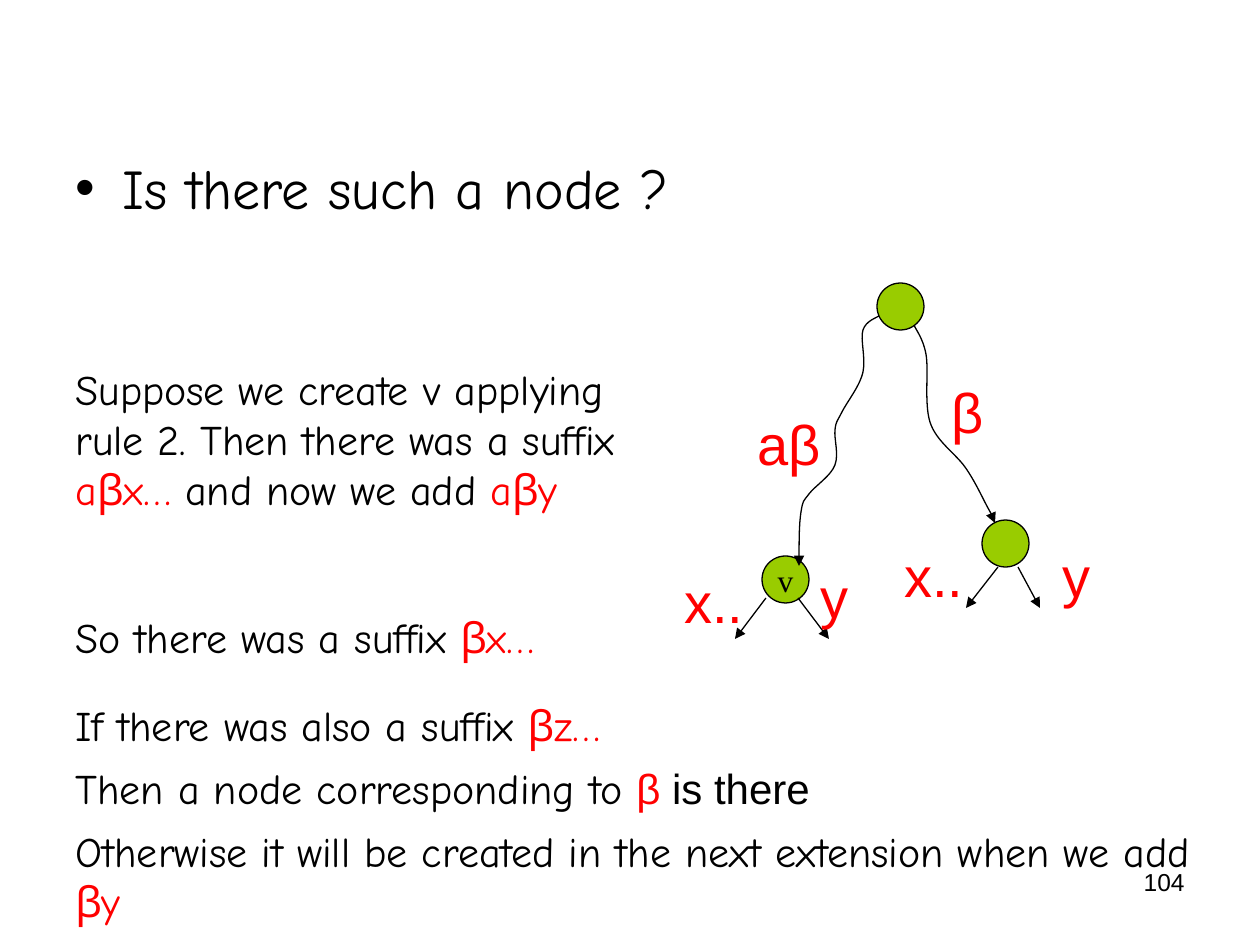
"""Build a slide on suffix links between two suffix tree nodes."""
import pptx
import pptx.util
import pptx.dml.color
import pptx.enum.shapes
import pptx.enum.text
import pptx.oxml.ns

SCALE = 914400 / 126
COLORS = {"black": "000000", "red": "FF0000", "green": "99CC00"}
COMIC, ARIAL, TIMES = "Comic Neue", "Arial", "Times New Roman"
NODE_SIZE = 47
EDGE_DROP = 41
MARGIN = 63
INDENT = round(47 * SCALE)
qn = pptx.oxml.ns.qn
rgb = pptx.dml.color.RGBColor.from_string
align = pptx.enum.text.PP_ALIGN

presentation = pptx.Presentation()
presentation.slide_width = round(1260 * SCALE)
presentation.slide_height = round(945 * SCALE)
slide = presentation.slides.add_slide(presentation.slide_layouts[6])
shapes = slide.shapes


def write(shape, runs, size, formats):
    paragraph = shape.text_frame.paragraphs[0]
    for name, value in formats.items():
        setattr(paragraph, name, value)
    for text, color, font in runs:
        run = paragraph.add_run()
        run.text = text
        run.font.color.rgb = rgb(COLORS[color])
        for name, value in {"size": pptx.util.Pt(size), "name": font}.items():
            setattr(run.font, name, value)
    return paragraph


def outline(shape, arrow):
    shape.line.color.rgb = rgb(COLORS["black"])
    shape.line.width = pptx.util.Pt(0.75)
    properties = shape._element.spPr
    if arrow:
        line = properties.find(qn("a:ln"))
        line.append(line.makeelement(qn("a:tailEnd"), {"type": "triangle"}))
    properties.append(properties.makeelement(qn("a:effectLst"), {}))


node_corners = {"v": (762, 556), "root": (877, 283), "link": (982, 520)}
nodes = {}
for name, (left, top) in node_corners.items():
    node = shapes.add_shape(
        pptx.enum.shapes.MSO_SHAPE.OVAL,
        *(round(length * SCALE) for length in (left, top, NODE_SIZE, NODE_SIZE)))
    node.fill.solid()
    node.fill.fore_color.rgb = rgb(COLORS["green"])
    outline(node, arrow=False)
    nodes[name] = node
nodes["v"].text_frame.word_wrap = False
write(nodes["v"], [("v", "black", TIMES)], 18, {"alignment": align.CENTER})

# Each branch is a smooth curve through its bends, from the root to a child.
branch_bends = {
    "v": [(879, 316), (863, 330), (863, 372), (842, 412), (835, 430),
          (835, 465), (809, 494), (801, 512), (799, 566)],
    "link": [(914, 325), (926, 354), (930, 422), (965, 467), (988, 508), (995, 523)],
}
for bends in branch_bends.values():
    padded = [bends[0], *bends, bends[-1]]
    curve_points = []
    for before, start, end, after in zip(padded, padded[1:], padded[2:], padded[3:]):
        leave = [s + (e - b) / 6 for b, s, e in zip(before, start, end)]
        arrive = [e - (a - s) / 6 for s, e, a in zip(start, end, after)]
        curve_points += [leave, arrive, end]
    builder = shapes.build_freeform(*bends[0], scale=SCALE)
    builder.add_line_segments(curve_points, close=False)
    branch = builder.convert_to_shape()
    branch.fill.background()
    outline(branch, arrow=True)
    segments = list(branch._element.iter(qn("a:lnTo")))
    for leave, arrive, end in zip(segments[::3], segments[1::3], segments[2::3]):
        curve = leave.makeelement(qn("a:cubicBezTo"), {})
        leave.addprevious(curve)
        for segment in (leave, arrive, end):
            curve.append(segment[0])
            segment.getparent().remove(segment)

# Edge offsets are measured from the corner of the parent node.
edge_offsets = {"v": [(4, 42, -31), (36, 42, 31)], "link": [(16, 47, -32), (36, 47, 22)]}
for name, offsets in edge_offsets.items():
    left, top = node_corners[name]
    for across, down, reach in offsets:
        x, y = left + across, top + down
        edge = shapes.add_connector(
            pptx.enum.shapes.MSO_CONNECTOR.STRAIGHT,
            *(round(length * SCALE) for length in (x, y, x + reach, y + EDGE_DROP)))
        outline(edge, arrow=True)

statements = [
    (357, 599, 164, [
        ("Suppose we create v applying rule 2. Then there was a suffix ", "black", COMIC),
        ("aβx… ", "red", COMIC), ("and now we add", "black", COMIC), (" aβy", "red", COMIC)]),
    (605, 599, 63, [("So there was a suffix ", "black", COMIC), ("βx…", "red", COMIC)]),
    (693, 683, 63, [("If there was also a suffix ", "black", COMIC), ("βz…", "red", COMIC)]),
    (756, 851, 63, [
        ("Then a node corresponding to ", "black", COMIC),
        ("β ", "red", ARIAL), ("is there", "black", ARIAL)]),
    (819, 1155, 113, [
        ("Otherwise it will be created in the next extension when we add ", "black", COMIC),
        ("βy", "red", COMIC)]),
]
labels = [("aβ", 745, 403), ("β", 939, 371), ("x..", 672, 561),
          ("y", 808, 556), ("x..", 892, 535), ("y", 1050, 535)]

question_box = (MARGIN, 147, 1134, 95)
number_box = (903, 861, 294, 66)
texts = [(question_box, 32, [("Is there such a node ?", "black", COMIC)],
          {"space_before": pptx.util.Pt(8)})]
for top, width, height, runs in statements:
    texts.append(((MARGIN, top, width, height), 24, runs, {"space_before": pptx.util.Pt(15)}))
for label, left, top in labels:
    texts.append(((left, top, 147, 81), 32, [(label, "red", ARIAL)],
                  {"space_before": pptx.util.Pt(20)}))
texts.append((number_box, 14, [("104", "black", ARIAL)], {"alignment": align.RIGHT}))

for position, size, runs, formats in texts:
    box = shapes.add_textbox(*(round(length * SCALE) for length in position))
    box.text_frame.word_wrap = True
    paragraph = write(box, runs, size, formats)
    if position == question_box:
        properties = paragraph._p.get_or_add_pPr()
        for name, value in {"marL": INDENT, "indent": -INDENT}.items():
            properties.set(name, str(value))
        for tag, setting in {"a:buFont": {"typeface": ARIAL}, "a:buChar": {"char": "•"}}.items():
            properties.append(properties.makeelement(qn(tag), setting))

presentation.save("out.pptx")
